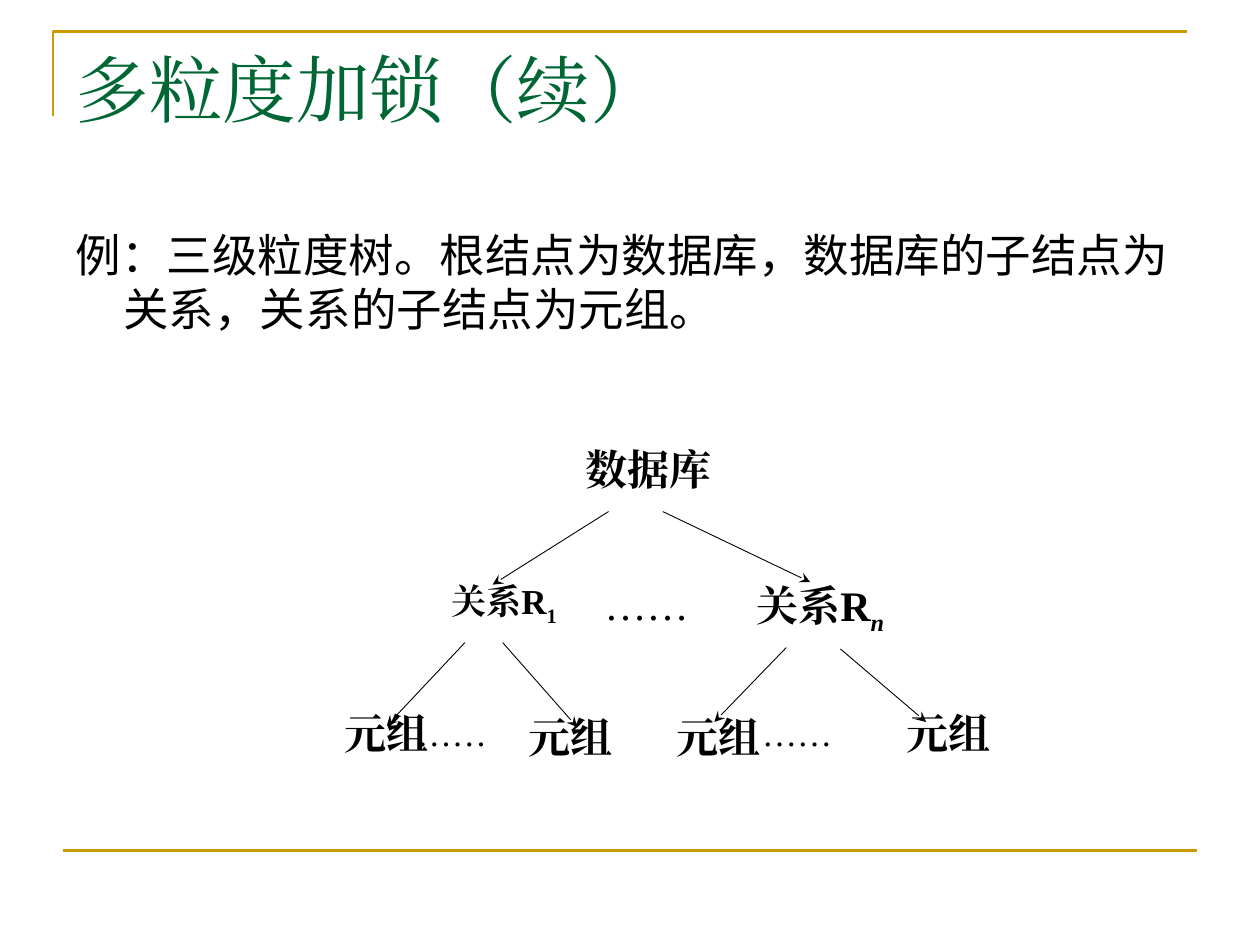
from lxml.etree import SubElement
from pptx import Presentation
from pptx.dml.color import RGBColor
from pptx.enum.shapes import MSO_CONNECTOR as Connector
from pptx.enum.text import MSO_ANCHOR as Anchor, MSO_AUTO_SIZE as AutoSize, PP_ALIGN as Align
from pptx.oxml.ns import qn
from pptx.util import Inches, Pt

COLUMNS, ROWS = 100, 75
GOLD, GREEN, BLACK = "CC9900", "006633", "000000"
SERIF, SANS = "Times New Roman", "Arial"


def color(value):
    """Turn a hex string into a colour."""
    return RGBColor.from_string(value)


def apply(target, values):
    """Set every attribute named in a dict of format values."""
    for name, value in values.items():
        setattr(target, name, value)


class TreeSlide:
    """Draw one slide on a grid of 100 columns and 75 rows."""

    def __init__(self, deck):
        """Add the slide and work out the grid cell."""
        self.column = deck.slide_width / COLUMNS
        self.row = deck.slide_height / ROWS
        self.slide = deck.slides.add_slide(deck.slide_layouts[1])
        self.shapes = self.slide.shapes

    def place(self, *lengths):
        """Convert alternating columns and rows to slide units."""
        return [round(length * (self.row if index % 2 else self.column))
                for index, length in enumerate(lengths)]

    def wording(self, paragraph, text, face, size, tint, baseline=None, **style):
        """Add one formatted run."""
        run = paragraph.add_run()
        run.text = text
        apply(run.font, {"name": face, "size": Pt(size), **style})
        run.font.color.rgb = color(tint)
        properties = run._r.get_or_add_rPr()
        SubElement(properties, qn("a:ea"), typeface=face)
        if baseline:
            properties.set("baseline", str(baseline * 1000))

    def fill(self, index, area, text, face, size, tint):
        """Move and fill a template placeholder."""
        holder = self.slide.placeholders[index]
        apply(holder, dict(zip(("left", "top", "width", "height"), self.place(*area))))
        apply(holder.text_frame, {"word_wrap": True, "auto_size": AutoSize.NONE,
                                  "vertical_anchor": Anchor.TOP})
        paragraph = holder.text_frame.paragraphs[0]
        paragraph.alignment = Align.LEFT
        self.wording(paragraph, text, face, size, tint)
        return paragraph

    def label(self, area, text, size=24, align=Align.CENTER, bold=True, subscript="", italic=False):
        """Add a tree label with an optional subscript."""
        frame = self.shapes.add_textbox(*self.place(*area)).text_frame
        frame.word_wrap = True
        paragraph = frame.paragraphs[0]
        apply(paragraph, {"alignment": align, "line_spacing": 0.96})
        self.wording(paragraph, text, SERIF, size, BLACK, bold=bold)
        if subscript:
            self.wording(paragraph, subscript, SERIF, size, BLACK, -25, bold=bold, italic=italic)

    def line(self, ends, tint, width, arrow=False):
        """Add a straight line or an arrow."""
        link = self.shapes.add_connector(Connector.STRAIGHT, *self.place(*ends))
        link.line.width = Pt(width)
        link.line.color.rgb = color(tint)
        if arrow:
            SubElement(link.get_or_add_ln(), qn("a:tailEnd"), type="stealth")
        SubElement(link._element.spPr, qn("a:effectLst"))

    def corner(self, points, tint, width):
        """Add an open outline through the points."""
        start, *rest = [self.place(*point) for point in points]
        builder = self.shapes.build_freeform(*start)
        builder.add_line_segments(rest, close=False)
        outline = builder.convert_to_shape()
        outline.shadow.inherit = False
        outline.fill.background()
        outline.line.width = Pt(width)
        outline.line.color.rgb = color(tint)


deck = Presentation()
apply(deck, {"slide_width": Inches(10), "slide_height": Inches(7.5)})
page = TreeSlide(deck)

page.corner([(4.2, 9.2), (4.2, 2.5), (94.2, 2.5)], GOLD, 1.5)
page.line((5, 67.5, 95, 67.5), GOLD, 1.5)
page.fill(0, (5, 3, 90, 12.5), "多粒度加锁（续）", SERIF, 42, GREEN)
example = page.fill(1, (5, 17.5, 90, 49.5),
                    "例：三级粒度树。根结点为数据库，数据库的子结点为关系，关系的子结点为元组。",
                    SANS, 26, BLACK)
indents = example._p.get_or_add_pPr()
for name, inches in {"marL": 0.38, "indent": -0.38}.items():
    indents.set(name, str(Inches(inches)))
SubElement(indents, qn("a:buNone"))

branches = [
    (48.3, 40.6, 39.1, 46.4), (52.6, 40.6, 64.3, 46.2),
    (36.9, 51, 30.7, 57.6), (39.9, 51, 45.8, 57.7),
    (62.4, 51.4, 56.7, 57.3), (66.7, 51.5, 73.5, 57.3),
]
for ends in branches:
    page.line(ends, BLACK, 0.5, arrow=True)

page.label((44.3, 35, 14.4, 6.4), "数据库")
page.label((57.8, 45.5, 14.6, 5.7), "关系R", subscript="n", italic=True)
page.label((31.6, 45.5, 16.8, 9.1), "关系R", 20, subscript="1")
for left, top, width in [(25, 55.9, 11.4), (68.1, 55.9, 14.4),
                         (39.6, 56.2, 11.4), (51.3, 56.2, 11.4)]:
    page.label((left, top, width, 5.9), "元组")
for left, top, size in [(47, 45.7, 24), (59.5, 56.2, 20), (32.1, 56.2, 20)]:
    page.label((left, top, 14.6, 4.8), "……", size, Align.JUSTIFY, bold=False)

deck.save("out.pptx")
